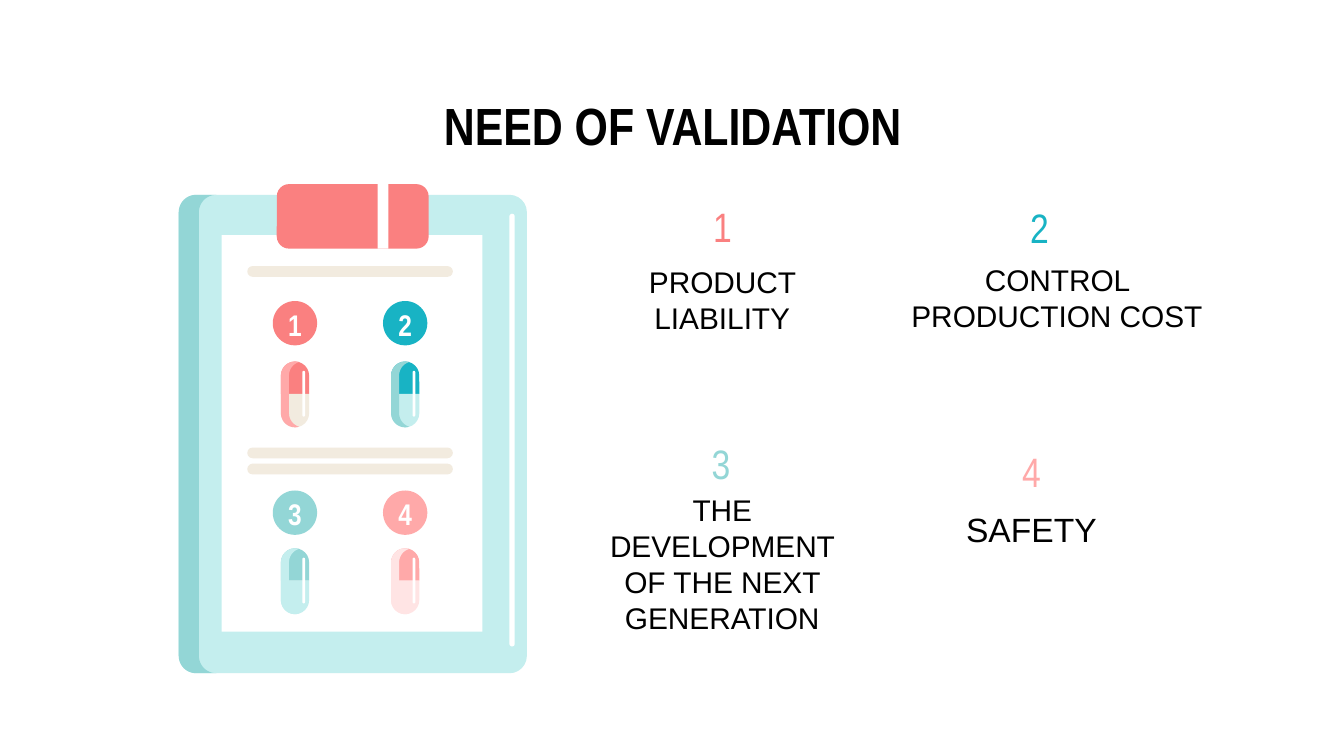
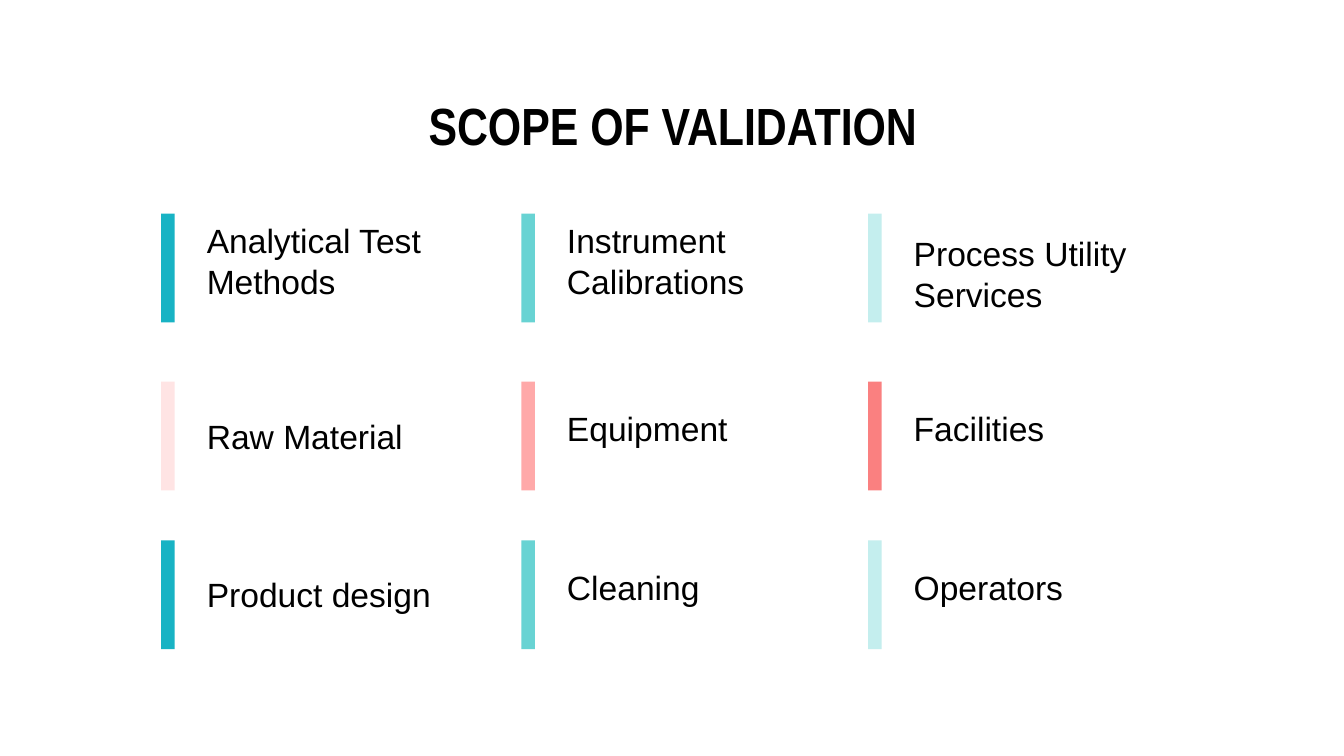
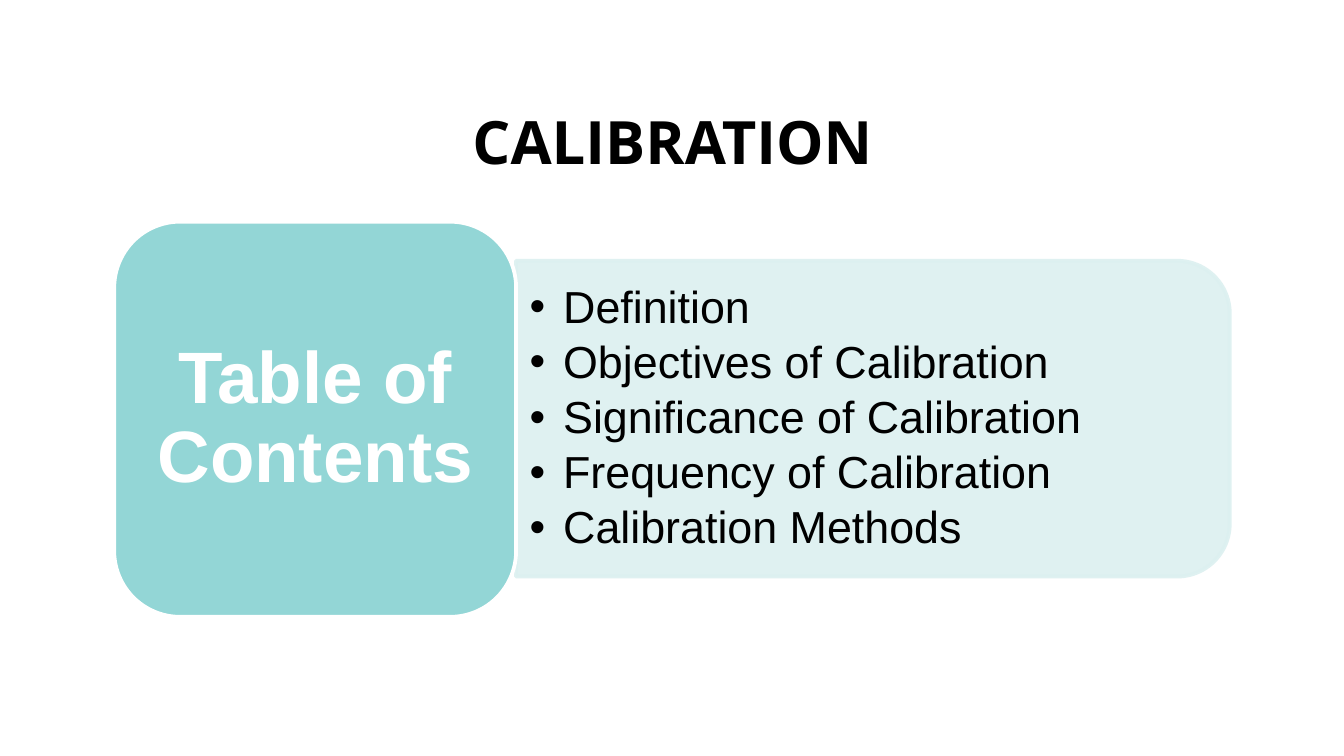
import math

import pptx
import pptx.dml.color
import pptx.enum.shapes
import pptx.enum.text
import pptx.oxml
import pptx.oxml.ns
import pptx.util

Inches = pptx.util.Inches
Pt = pptx.util.Pt
SHAPE = pptx.enum.shapes.MSO_SHAPE
ANCHOR = pptx.enum.text.MSO_ANCHOR
ALIGN = pptx.enum.text.PP_ALIGN

COLORS = {
    "black": "000000",
    "white": "FFFFFF",
    "teal": "18B3C4",
    "turquoise": "68D3D3",
    "sea": "93D6D6",
    "mint": "C4EEEE",
    "mist": "DCF0F0",
    "coral": "FA8080",
    "pink": "FFA9A9",
    "blush": "FFE4E4",
    "sand": "F2EBDF",
}
BODY_FONT = "Arial"
NARROW_FONT = "Arial Narrow"
TITLE_ONLY, TITLE_AND_BODY = 5, 1


def rgb(color):
    return pptx.dml.color.RGBColor.from_string(COLORS[color])


def set_alpha(shape, percent):
    """Make the fill and line of a shape partly transparent."""
    for color in shape.element.iter(pptx.oxml.ns.qn("a:srgbClr")):
        alpha = color.makeelement(pptx.oxml.ns.qn("a:alpha"), {"val": str(percent * 1000)})
        color.append(alpha)


def write(frame, text, font=BODY_FONT, size=16, color="black", bold=False,
          align=ALIGN.LEFT, anchor=ANCHOR.TOP, insets=(0.1, 0.1),
          line_spacing=None, after=0, hanging=None):
    """Fill a text frame, one paragraph per line of text."""
    frame.word_wrap = True
    frame.auto_size = pptx.enum.text.MSO_AUTO_SIZE.NONE
    frame.vertical_anchor = anchor
    frame.margin_left = frame.margin_right = Inches(insets[0])
    frame.margin_top = frame.margin_bottom = Inches(insets[1])
    frame.text = text
    for paragraph in frame.paragraphs:
        paragraph.alignment = align
        paragraph.space_before = Pt(0)
        paragraph.space_after = Pt(after)
        if line_spacing:
            paragraph.line_spacing = line_spacing
        if hanging:
            properties = paragraph._p.get_or_add_pPr()
            properties.set("marL", str(Inches(hanging)))
            properties.set("indent", str(-Inches(hanging)))
        for run in paragraph.runs:
            run.font.name = font
            run.font.size = Pt(size)
            run.font.bold = bold
            run.font.color.rgb = rgb(color)


def arc(center_x, center_y, radius, start, end, steps=16):
    """Points along an arc; angles in degrees, counter-clockwise from the right."""
    angles = [math.radians(start + (end - start) * i / steps) for i in range(steps + 1)]
    return [(center_x + radius * math.cos(a), center_y - radius * math.sin(a)) for a in angles]


class Deck:
    def __init__(self):
        self.presentation = pptx.Presentation()
        self.presentation.slide_width = Inches(10)
        self.presentation.slide_height = Inches(10) * 9 // 16
        self.slide = None

    def add_slide(self, title, layout=TITLE_ONLY, top=0.59, font=NARROW_FONT, size=28):
        self.slide = self.presentation.slides.add_slide(
            self.presentation.slide_layouts[layout])
        heading = self.slide.shapes.title
        self.place(heading, 0.79, top, 8.43, 0.55)
        write(heading.text_frame, title, font=font, size=size, bold=True, align=ALIGN.CENTER)

    def place(self, item, left, top, width, height):
        item.left, item.top = Inches(left), Inches(top)
        item.width, item.height = Inches(width), Inches(height)

    def paint(self, shape, fill, line=None):
        shape.shadow.inherit = False
        shape.fill.solid()
        shape.fill.fore_color.rgb = rgb(fill)
        if line:
            shape.line.color.rgb = rgb(line)
            shape.line.width = Pt(2)
        else:
            shape.line.fill.background()
        return shape

    def shape(self, kind, left, top, width, height, fill, line=None, rounding=()):
        shape = self.slide.shapes.add_shape(
            kind, Inches(left), Inches(top), Inches(width), Inches(height))
        for index, value in enumerate(rounding):
            shape.adjustments[index] = value
        return self.paint(shape, fill, line)

    def text(self, text, left, top, width, height, **style):
        box = self.slide.shapes.add_textbox(
            Inches(left), Inches(top), Inches(width), Inches(height))
        write(box.text_frame, text, **style)

    def body(self, text, left, top, width, height, above, **style):
        """Place the list placeholder just in front of another shape."""
        placeholder = self.slide.placeholders[1]
        self.place(placeholder, left, top, width, height)
        write(placeholder.text_frame, text, **style)
        above.element.addnext(placeholder.element)

    def crescent(self, left, top, height, radius, shift, fill, tip=0):
        """Rounded left edge whose inner side is the same edge shifted right."""
        center, upper, lower = left + radius, top + radius, top + height - radius
        outer = arc(center, upper, radius, 90 - tip, 180) + arc(center, lower, radius, 180, 270 + tip)
        inner = (arc(center + shift, lower, radius, 270 - tip, 180)
                 + arc(center + shift, upper, radius, 180, 90 + tip))
        points = [(Inches(x), Inches(y)) for x, y in outer + inner]
        builder = self.slide.shapes.build_freeform(*points[0])
        builder.add_line_segments(points[1:], close=True)
        self.paint(builder.convert_to_shape(), fill)

    def pill(self, number, left, top, capsule, main, lower, shade):
        """Numbered disc with a two-coloured capsule under it."""
        half = SHAPE.ROUND_2_SAME_RECTANGLE
        self.shape(half, left, capsule, 0.21, 0.24, main, rounding=(0.5, 0))
        self.shape(half, left, capsule + 0.24, 0.21, 0.25, lower, rounding=(0, 0.5))
        radius, shift = 0.105, 0.06
        tip = math.degrees(math.asin(shift / 2 / radius))
        self.crescent(left, capsule, 0.49, radius, shift, shade, tip)
        self.shape(SHAPE.ROUNDED_RECTANGLE, left + 0.16, capsule + 0.07, 0.02, 0.34,
                   "white", rounding=(0.5,))
        self.shape(SHAPE.OVAL, left - 0.06, top, 0.33, 0.33, main)
        self.text(number, left - 0.06, top + 0.05, 0.33, 0.25, font=NARROW_FONT,
                  color="white", bold=True, align=ALIGN.CENTER, anchor=ANCHOR.MIDDLE)

    def save(self):
        self.presentation.save("out.pptx")


def draw_clipboard(deck):
    rounded = SHAPE.ROUNDED_RECTANGLE
    deck.shape(rounded, 1.33, 1.45, 2.59, 3.56, "mint", rounding=(0.05,))
    deck.crescent(1.33, 1.45, 3.56, 0.13, 0.15, "sea")
    deck.shape(SHAPE.RECTANGLE, 1.65, 1.75, 1.94, 2.95, "white")
    deck.shape(rounded, 2.06, 1.37, 1.13, 0.48, "coral", rounding=(0.19,))
    deck.shape(SHAPE.RECTANGLE, 2.81, 1.37, 0.08, 0.48, "white")
    deck.shape(rounded, 3.79, 1.59, 0.04, 3.22, "white", rounding=(0.5,))
    for rule_top in (1.98, 3.33, 3.45):
        deck.shape(rounded, 1.84, rule_top, 1.53, 0.08, "sand", rounding=(0.5,))
    deck.pill("1", 2.09, 2.24, 2.69, "coral", "sand", "pink")
    deck.pill("2", 2.91, 2.24, 2.69, "teal", "mint", "sea")
    deck.pill("3", 2.09, 3.65, 4.08, "sea", "mint", "mint")
    deck.pill("4", 2.91, 3.65, 4.08, "pink", "blush", "blush")


def need_slide(deck):
    deck.add_slide("NEED OF VALIDATION")
    draw_clipboard(deck)
    # number, colour, number left and top, need, its left, top, width and size
    needs = [
        ("1", "coral", 4.36, 1.4, "PRODUCT LIABILITY", 4.36, 1.86, 2.03, 16),
        ("2", "teal", 6.72, 1.41, "CONTROL PRODUCTION COST", 6.64, 1.85, 2.45, 16),
        ("3", "sea", 4.35, 3.16, "THE DEVELOPMENT OF THE NEXT GENERATION", 4.36, 3.56, 2.03, 16),
        ("4", "pink", 6.66, 3.22, "SAFETY", 6.66, 3.69, 2.03, 18),
    ]
    for number, color, number_left, number_top, need, left, top, width, size in needs:
        deck.text(number, number_left, number_top, 2.03, 0.4, font=NARROW_FONT,
                  size=22, color=color, align=ALIGN.CENTER)
        deck.text(need, left, top, width, 0.38, size=size, align=ALIGN.CENTER)


def scope_slide(deck):
    deck.add_slide("SCOPE OF VALIDATION")
    columns = (1.2, 3.88, 6.46)
    # bar top, then area, bar colour, text top and text height for each column
    rows = [
        (1.59, [("Analytical Test Methods", "teal", 1.59, 0.7),
                ("Instrument Calibrations", "turquoise", 1.59, 0.7),
                ("Process Utility Services", "mint", 1.86, 0.35)]),
        (2.84, [("Raw Material", "blush", 3.07, 0.35),
                ("Equipment", "pink", 3.01, 0.35),
                ("Facilities", "coral", 3.01, 0.35)]),
        (4.02, [("Product design", "teal", 4.07, 0.7),
                ("Cleaning", "turquoise", 4.02, 0.7),
                ("Operators", "mint", 4.19, 0.35)]),
    ]
    for bar_top, areas in rows:
        for left, (area, color, text_top, text_height) in zip(columns, areas):
            deck.shape(SHAPE.RECTANGLE, left, bar_top, 0.1, 0.81, color)
            deck.text(area, left + 0.24, text_top, 2.15, text_height, size=18,
                      anchor=ANCHOR.MIDDLE)


def calibration_slide(deck):
    deck.add_slide("CALIBRATION", TITLE_AND_BODY, top=0.68, font="Open Sans", size=32)
    panel = deck.shape(SHAPE.ROUND_2_SAME_RECTANGLE, 5.32, 0.46, 2.35, 5.31, "mist", "mist")
    panel.rotation = 90
    set_alpha(panel, 90)
    topics = ["Definition", "Objectives of Calibration", "Significance of Calibration",
              "Frequency of Calibration", "Calibration Methods"]
    deck.body("\n".join(topics), 3.84, 2.06, 5.2, 2.12, above=panel, size=24,
              anchor=ANCHOR.MIDDLE, insets=(0.1, 0.05), line_spacing=0.9, after=3.6,
              hanging=0.25)
    tile = deck.shape(SHAPE.ROUNDED_RECTANGLE, 0.85, 1.65, 2.99, 2.94, "sea", "white")
    write(tile.text_frame, "Table of Contents", size=39, color="white", bold=True,
          align=ALIGN.CENTER, anchor=ANCHOR.MIDDLE, insets=(0.16, 0.08), line_spacing=0.9)


def main():
    deck = Deck()
    need_slide(deck)
    scope_slide(deck)
    calibration_slide(deck)
    deck.save()


if __name__ == "__main__":
    main()
